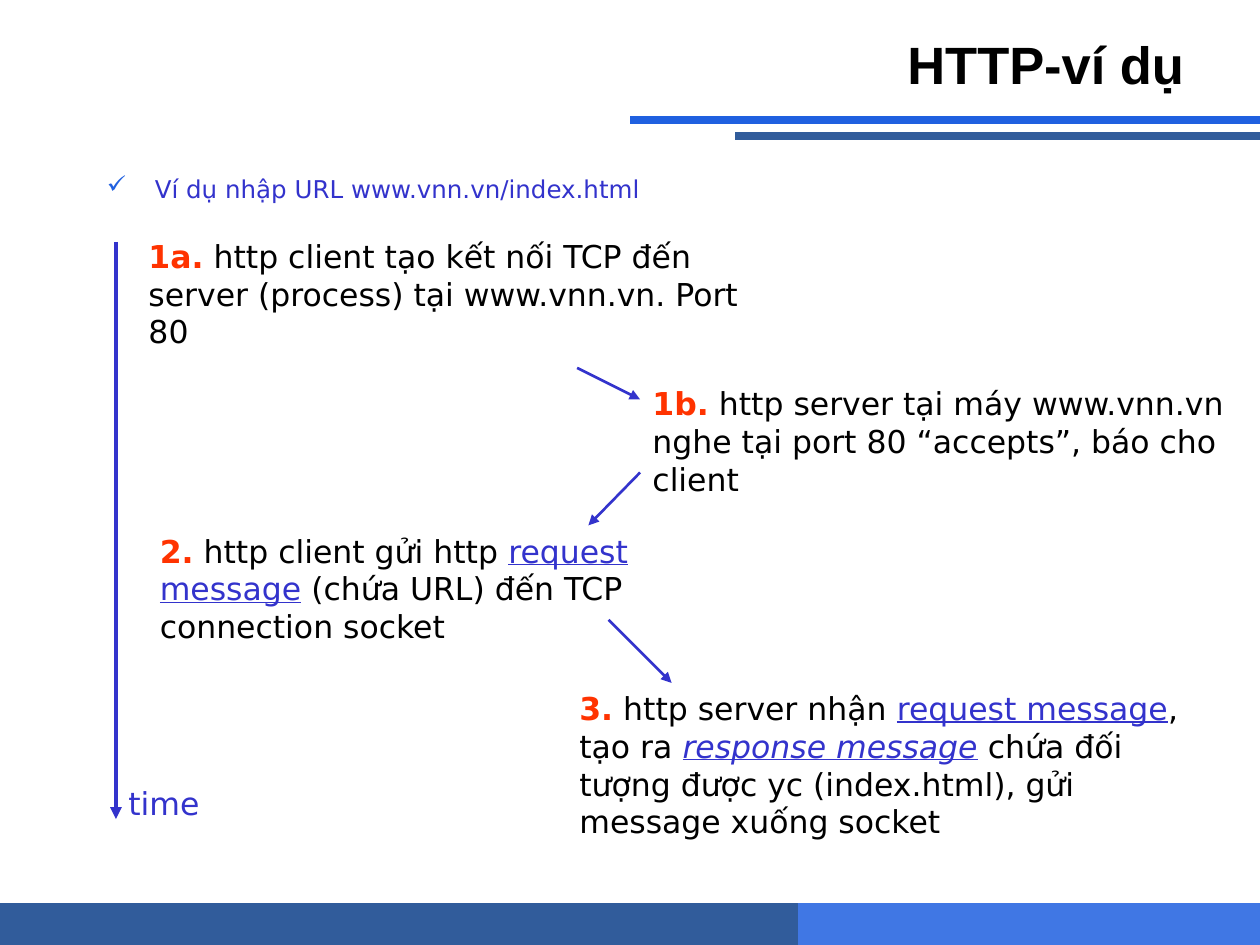
from lxml import etree
from pptx import Presentation
from pptx.dml.color import RGBColor
from pptx.enum.shapes import MSO_CONNECTOR, MSO_SHAPE
from pptx.enum.text import MSO_ANCHOR, PP_ALIGN
from pptx.oxml.ns import qn
from pptx.util import Inches, Pt

STRAIGHT = MSO_CONNECTOR.STRAIGHT
RECTANGLE = MSO_SHAPE.RECTANGLE
MIDDLE = MSO_ANCHOR.MIDDLE
RIGHT = PP_ALIGN.RIGHT

BLACK = RGBColor(0x00, 0x00, 0x00)
INDIGO = RGBColor(0x33, 0x33, 0xCC)
RED = RGBColor(0xFF, 0x33, 0x00)
BRIGHT_BLUE = RGBColor(0x20, 0x60, 0xE0)
LIGHT_BLUE = RGBColor(0x40, 0x77, 0xE4)
DARK_BLUE = RGBColor(0x31, 0x5C, 0x9B)
BODY_FONT = "DejaVu Sans"


def add_line(x1, y1, x2, y2, color, width, arrow=False):
    line = slide.shapes.add_connector(
        STRAIGHT, Inches(x1), Inches(y1), Inches(x2), Inches(y2))
    line.line.color.rgb = color
    line.line.width = Pt(width)
    if arrow:
        etree.SubElement(line.line._get_or_add_ln(), qn("a:tailEnd"), type="triangle")
    etree.SubElement(line._element.spPr, qn("a:effectLst"))


def add_text(left, top, width, height, size):
    """Add a wrapping text box and return its first paragraph."""
    box = slide.shapes.add_textbox(
        Inches(left), Inches(top), Inches(width), Inches(height))
    box.text_frame.word_wrap = True
    p = box.text_frame.paragraphs[0]
    p.font.name = BODY_FONT
    p.font.size = Pt(size)
    return p


prs = Presentation()
prs.slide_width = Inches(10)
prs.slide_height = Inches(7.5)
slide = prs.slides.add_slide(prs.slide_layouts[5])

# Footer bars and the rules under the title
for left, width, color in [(5, 5, LIGHT_BLUE), (0, 6.33, DARK_BLUE)]:
    bar = slide.shapes.add_shape(
        RECTANGLE, Inches(left), Inches(7.17), Inches(width), Inches(0.33))
    bar.shadow.inherit = False
    bar.fill.solid()
    bar.fill.fore_color.rgb = color
    bar.line.color.rgb = color
    bar.line.width = Pt(0.75)
add_line(10, 0.95, 5, 0.95, BRIGHT_BLUE, 4.5)
add_line(10, 1.08, 5.83, 1.08, DARK_BLUE, 4.5)

title = slide.shapes.title
title.left, title.top = Inches(0.5), Inches(0.17)
title.width, title.height = Inches(9), Inches(0.67)
title.text_frame.text = "HTTP-ví dụ"
title.text_frame.vertical_anchor = MIDDLE
p = title.text_frame.paragraphs[0]
p.alignment = RIGHT
p.font.name = "Arial"
p.font.size = Pt(30)
p.font.bold = True
p.font.color.rgb = BLACK

# Bulleted introduction
p = add_text(0.75, 1.33, 8.92, 0.33, 14)
p.text = "Ví dụ nhập URL www.vnn.vn/index.html"
pPr = p._p.get_or_add_pPr()
pPr.set("marL", str(Inches(0.38)))
pPr.set("indent", str(Inches(-0.38)))
bullet_color = etree.Element(qn("a:buClr"))
etree.SubElement(bullet_color, qn("a:srgbClr"), val=str(BRIGHT_BLUE))
bullet = etree.Element(qn("a:buChar"), char="✓")
pPr.insert(0, bullet_color)
pPr.insert(1, bullet)
p.font.color.rgb = INDIGO

# Time axis
add_line(0.92, 1.92, 0.92, 6.5, INDIGO, 2.25, arrow=True)
p = add_text(0.92, 6.17, 1, 0.4, 18)
p.text = "time"
p.font.color.rgb = INDIGO

# Exchange steps: position, then runs of text and style
NUMBER = {"color": RED, "bold": True}
PLAIN = {"color": BLACK}
TERM = {"color": INDIGO, "underline": True}
TERM_ITALIC = {**TERM, "italic": True}
steps = [
    ((1.08, 1.83, 4.92, 1), [
        ("1a.", NUMBER),
        (" http client tạo kết nối TCP đến server (process) tại www.vnn.vn. Port 80", PLAIN)]),
    ((5.08, 3, 4.75, 1), [
        ("1b.", NUMBER),
        (" http server tại máy www.vnn.vn nghe tại port 80 “accepts”, báo cho client", PLAIN)]),
    ((1.17, 4.17, 4.3, 1), [
        ("2.", NUMBER),
        (" http client gửi http ", PLAIN),
        ("request message", TERM),
        (" (chứa URL) đến TCP connection socket", PLAIN)]),
    ((4.5, 5.42, 5, 1.3), [
        ("3.", NUMBER),
        (" http server nhận ", PLAIN),
        ("request message", TERM),
        (", tạo ra ", PLAIN),
        ("response message", TERM_ITALIC),
        (" chứa đối tượng được yc (index.html), gửi message xuống socket", PLAIN)]),
]
for position, runs in steps:
    p = add_text(*position, 18)
    for text, style in runs:
        r = p.add_run()
        r.text = text
        r.font.color.rgb = style["color"]
        r.font.bold = style.get("bold")
        r.font.italic = style.get("italic")
        r.font.underline = style.get("underline")

# Messages between client and server
for x1, y1, x2, y2 in [(4.58, 2.92, 5.08, 3.17),
                       (5.08, 3.75, 4.67, 4.17),
                       (4.83, 4.92, 5.33, 5.42)]:
    add_line(x1, y1, x2, y2, INDIGO, 1.5, arrow=True)

prs.save("out.pptx")
